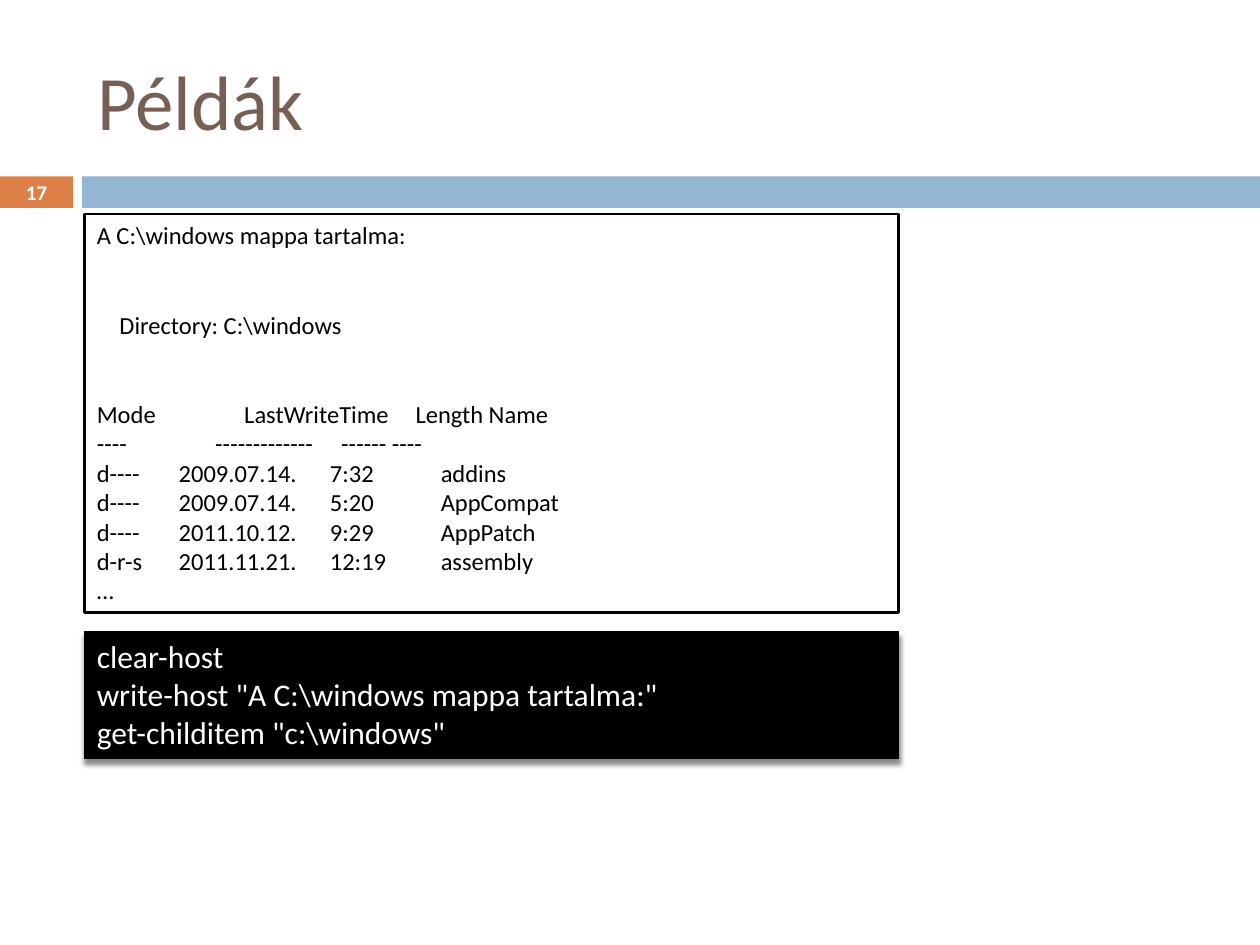
from lxml import etree
from pptx import Presentation
from pptx import util as u
from pptx.dml.color import RGBColor
from pptx.enum import shapes, text
from pptx.oxml.ns import qn

# Content
TITLE = "Példák"
PAGE = "17"
HEAD, RULE, ROW = (1.17, 2.53), (0.94, 1.94), (0.65, 1.85, 2.73)
# (line, tab stops in inches, indent in inches, blank lines before)
OUTPUT = [
    (r"A C:\windows mappa tartalma:", (), 0, 0),
    (r"Directory: C:\windows", (), 0.18, 2),
    ("Mode\tLastWriteTime\tLength Name", HEAD, 0, 2),
    ("----\t-------------\t------ ----", RULE, 0, 0),
    ("d----\t2009.07.14.\t7:32\taddins", ROW, 0, 0),
    ("d----\t2009.07.14.\t5:20\tAppCompat", ROW, 0, 0),
    ("d----\t2011.10.12.\t9:29\tAppPatch", ROW, 0, 0),
    ("d-r-s\t2011.11.21.\t12:19\tassembly", ROW, 0, 0),
    ("…", (), 0, 0),
]
SCRIPT = [(line, (), 0, 0) for line in (
    "clear-host",
    r'write-host "A C:\windows mappa tartalma:"',
    r'get-childitem "c:\windows"',
)]

FONT = "Calibri"
BLACK, WHITE = RGBColor(0, 0, 0), RGBColor(255, 255, 255)
BROWN = RGBColor(0x77, 0x5F, 0x55)
ORANGE = RGBColor(0xDD, 0x80, 0x47)
BLUE = RGBColor(0x94, 0xB6, 0xD2)

# Layout
W, H = 10, 7.5
LEFT, BOX_W = 0.67, 6.46
BAND_Y, BAND_H, TAB_W, BAND_X = 1.4, 0.25, 0.58, 0.65
LINE_HEIGHT = 1.22  # of the font size

prs = Presentation()
prs.slide_width, prs.slide_height = u.Inches(W), u.Inches(H)
s = prs.slides.add_slide(prs.slide_layouts[5])


def add_run(p, words, size, color, bold=False):
    r = p.add_run()
    r.text = words
    r.font.name, r.font.size, r.font.bold = FONT, u.Pt(size), bold
    r.font.color.rgb = color


def add_rect(x, y, w, h, fill, line=None):
    sp = s.shapes.add_shape(shapes.MSO_SHAPE.RECTANGLE, *map(u.Inches, (x, y, w, h)))
    sp.shadow.inherit = False
    sp.fill.solid()
    sp.fill.fore_color.rgb = fill
    if line:
        sp.line.color.rgb, sp.line.width = BLACK, u.Pt(line)
    else:
        sp.line.fill.background()
    return sp


def add_lines(sp, lines, size, color):
    tf = sp.text_frame
    tf.word_wrap = True
    tf.vertical_anchor = text.MSO_ANCHOR.TOP
    tf.auto_size = text.MSO_AUTO_SIZE.SHAPE_TO_FIT_TEXT
    for i, (line, stops, indent, blanks) in enumerate(lines):
        p = tf.add_paragraph() if i else tf.paragraphs[0]
        p.alignment = text.PP_ALIGN.LEFT
        if blanks:
            p.space_before = u.Pt(round(blanks * size * LINE_HEIGHT, 1))
        pPr = p._p.get_or_add_pPr()
        if indent:
            pPr.set("marL", str(u.Inches(indent)))
        if stops:
            tabs = etree.SubElement(pPr, qn("a:tabLst"))
            for stop in stops:
                etree.SubElement(tabs, qn("a:tab"), pos=str(u.Inches(stop)), algn="l")
        add_run(p, line, size, color)


def add_shadow(sp, blur, dist, angle, alpha):
    effects = sp._element.spPr.find(qn("a:effectLst"))
    shadow = etree.SubElement(effects, qn("a:outerShdw"), blurRad=str(u.Pt(blur)),
                              dist=str(u.Pt(dist)), dir=str(angle * 60000), rotWithShape="0")
    color = etree.SubElement(shadow, qn("a:srgbClr"), val=str(BLACK))
    etree.SubElement(color, qn("a:alpha"), val=str(alpha * 1000))


# Header band
add_rect(0, BAND_Y, TAB_W, BAND_H, ORANGE)
add_rect(BAND_X, BAND_Y, W - BAND_X, BAND_H, BLUE)

# Title
title = s.shapes.title
title.left, title.top, title.width, title.height = map(u.Inches, (LEFT, 0.25, 8.92, 1.08))
title.text_frame.vertical_anchor = text.MSO_ANCHOR.MIDDLE
p = title.text_frame.paragraphs[0]
p.alignment = text.PP_ALIGN.LEFT
add_run(p, TITLE, 44, BROWN)

# Page number
tf = s.shapes.add_textbox(0, u.Inches(1.39), u.Inches(TAB_W), u.Inches(0.27)).text_frame
tf.word_wrap = True
tf.margin_top = tf.margin_bottom = 0
tf.vertical_anchor = text.MSO_ANCHOR.MIDDLE
p = tf.paragraphs[0]
p.alignment = text.PP_ALIGN.CENTER
add_run(p, PAGE, 11.9, WHITE, bold=True)

# Console output and the script that prints it
add_lines(add_rect(LEFT, 1.7, BOX_W, 3.16, WHITE, 1.5), OUTPUT, 14, BLACK)
console = add_rect(LEFT, 5.01, BOX_W, 1.01, BLACK, 0.79)
add_lines(console, SCRIPT, 18, WHITE)
add_shadow(console, blur=3, dist=2.4, angle=90, alpha=45)

prs.save("out.pptx")
